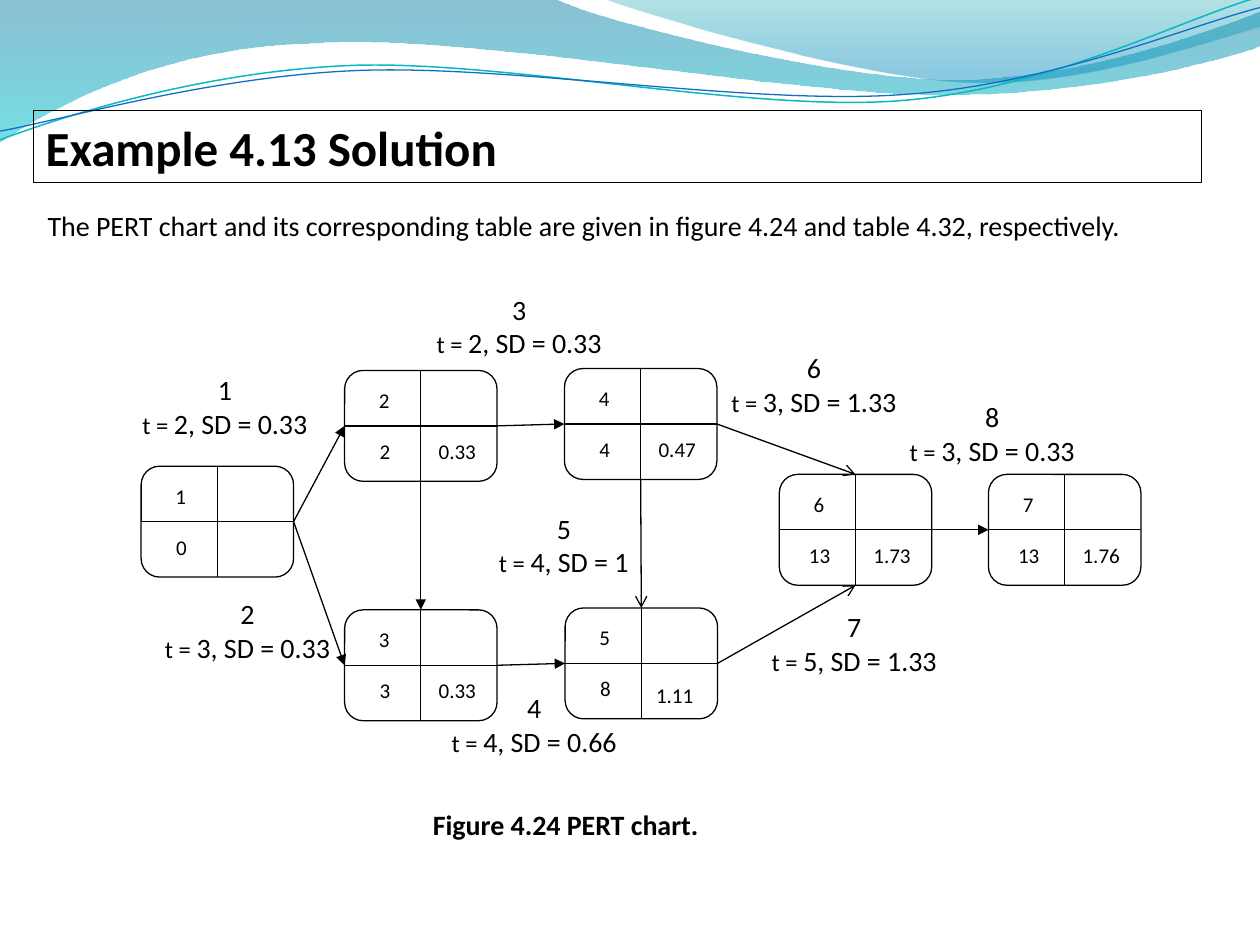
import math
import pptx
import pptx.util
import pptx.dml.color
import pptx.enum.text
import pptx.enum.shapes
import pptx.oxml.ns
from lxml import etree

RGB = pptx.dml.color.RGBColor
Anchor = pptx.enum.text.MSO_ANCHOR
Align = pptx.enum.text.PP_ALIGN
Kind = pptx.enum.shapes.MSO_SHAPE
qn = pptx.oxml.ns.qn

BLACK = RGB(0x00, 0x00, 0x00)
DEEP = RGB(0x00, 0x74, 0xA1)
CYAN = RGB(0x00, 0xC6, 0xCF)
TEAL = RGB(0x00, 0xA1, 0xA9)
SKY = RGB(0x00, 0x8B, 0xBF)
AQUA = RGB(0x0A, 0xB8, 0xBF)
BLUE = RGB(0x0F, 0x6F, 0xC6)

# Grid of 100 columns by 75 rows of square cells
WIDE, HIGH = pptx.util.Inches(10), pptx.util.Inches(7.5)
CELL = WIDE / 100
NODE = (12.1, 8.8)
TOP, LEFT, BASE, RIGHT = range(4)
TILT = -2.7

# Each curve: start point, then segments of one point (line) or three (Bézier)
BAND = [[(0, 0)], [(44, -0.1)],
        [(47.6, 1.7), (66.4, 6.3), (75.8, 6.3)],
        [(85.3, 6.3), (95.8, 2.6), (100, 0.9)], [(100.1, 3.6)],
        [(98.3, 4.4), (87, 7.6), (74.6, 7.5)],
        [(62.2, 7.5), (38.2, 2.8), (25.7, 3.4)],
        [(12.9, 3.6), (4.6, 8.3), (-0.1, 11.3)]]
CREST = [[(47.9, -0.1)], [(50.9, 1.1), (68.2, 6.2), (76.9, 6.5)],
         [(85.6, 6.9), (96.1, 3.2), (100, 2.1)], [(100, 0)]]
UPPER = [[(0, 11.1)], [(4.8, 9.3), (15.8, 5.7), (27.7, 5.2)],
         [(39.5, 4.7), (59.3, 8.9), (71.3, 8)],
         [(83.3, 7.1), (93.8, 1.5), (99.8, -0.2)]]
LOWER = [[(0, 10.4)], [(4.7, 9.6), (16.4, 6.1), (28.3, 5.6)],
         [(40.3, 5.1), (59.7, 8.4), (71.7, 7.5)],
         [(83.6, 6.7), (94.1, 2.1), (100, 0.6)]]

# Event: left, top, earliest time, deviation, drop of the deviation
EVENTS = {
    1: (11.2, 37, "0", "", 0),
    2: (27.35, 29.4, "2", "0.33", 0),
    4: (44.8, 29.25, "4", "0.47", 0),
    5: (44.85, 48.25, "8", "1.11", 0.5),
    3: (27.35, 48.4, "3", "0.33", 0),
    6: (61.85, 37.65, "13", "1.73", 0),
    7: (78.45, 37.65, "13", "1.76", 0),
}
# Link: from event and side, to event and side, arrowhead
LINKS = [
    (1, RIGHT, 2, LEFT, "triangle"), (1, RIGHT, 3, LEFT, "triangle"),
    (2, BASE, 3, TOP, "triangle"), (6, RIGHT, 7, LEFT, "triangle"),
    (3, RIGHT, 5, LEFT, "triangle"), (2, RIGHT, 4, LEFT, "triangle"),
    (4, RIGHT, 6, TOP, "arrow"), (5, RIGHT, 6, BASE, "arrow"),
    (4, BASE, 5, TOP, "arrow"),
]
# Task: left, top, estimate
TASKS = {
    1: (10.15, 29.1, "2, SD = 0.33"), 2: (11.95, 46.85, "3, SD = 0.33"),
    3: (33.5, 22.7, "2, SD = 0.33"), 4: (34.7, 54.35, "4, SD = 0.66"),
    5: (37.05, 40.1, "4, SD = 1"), 6: (56.9, 27.35, "3, SD = 1.33"),
    7: (60.1, 47.9, "5, SD = 1.33"), 8: (71.05, 31.25, "3, SD = 0.33"),
}


def emu(*cells):
    return [round(c * CELL) for c in cells]


def write(shape, rows, align=Align.LEFT, bold=False, anchor=Anchor.TOP, inset=True):
    """Fill a shape with rows of (text, size) runs."""
    frame = shape.text_frame
    frame.word_wrap = True
    frame.auto_size = pptx.enum.text.MSO_AUTO_SIZE.SHAPE_TO_FIT_TEXT
    frame.vertical_anchor = anchor
    if not inset:
        frame.margin_left = frame.margin_right = 0
        frame.margin_top = frame.margin_bottom = 0
    for i, row in enumerate(rows):
        para = frame.add_paragraph() if i else frame.paragraphs[0]
        para.alignment = align
        for words, size in row:
            run = para.add_run()
            run.text = words
            font = run.font
            font.name, font.size, font.bold = "Calibri", pptx.util.Pt(size), bold
            font.color.rgb = BLACK


def label(slide, box, rows, **style):
    write(slide.shapes.add_textbox(*emu(*box)), rows, **style)


def frame_box(slide, kind, box):
    """Outlined shape without fill."""
    shape = slide.shapes.add_shape(kind, *emu(*box))
    shape.shadow.inherit = False
    shape.fill.background()
    shape.line.color.rgb = BLACK
    shape.line.width = pptx.util.Pt(0.75)
    return shape


def link(slide, ends, head=None):
    line = slide.shapes.add_connector(
        pptx.enum.shapes.MSO_CONNECTOR.STRAIGHT, *emu(*ends))
    line.line.color.rgb = BLACK
    line.line.width = pptx.util.Pt(0.75)
    props = line._element.spPr
    if head:
        etree.SubElement(props.find(qn("a:ln")), qn("a:tailEnd"), type=head)
    etree.SubElement(props, qn("a:effectLst"))
    return line


def curve(slide, plan, close):
    """Freeform whose three-point segments become cubic Béziers."""
    spots = [emu(*spot) for part in plan for spot in part]
    pen = slide.shapes.build_freeform(*spots[0])
    pen.add_line_segments(spots[1:], close=close)
    shape = pen.convert_to_shape()
    shape.shadow.inherit = False
    steps = iter(list(shape._element.spPr.iter(qn("a:lnTo"))))
    for part in plan[1:]:
        first, *rest = [next(steps) for _ in part]
        if rest:
            first.tag = qn("a:cubicBezTo")
            for step in rest:
                first.append(step[0])
                step.getparent().remove(step)
    return shape


def wave(slide, plan, stops):
    """Translucent area; stops are (position, colour, opacity percent)."""
    shape = curve(slide, plan, True)
    shape.line.fill.background()
    shape.fill.gradient()
    shape.fill.gradient_angle = 270
    for stop, (place, tint, _) in zip(shape.fill.gradient_stops, stops):
        stop.position, stop.color.rgb = place, tint
    tints = shape._element.spPr.iter(qn("a:srgbClr"))
    for node, (_, _, alpha) in zip(list(tints), stops):
        etree.SubElement(node, qn("a:alpha"), val=str(alpha * 1000))


def turn(spot, mid, angle):
    c, s = math.cos(math.radians(angle)), math.sin(math.radians(angle))
    x, y = spot[0] - mid[0], spot[1] - mid[1]
    return mid[0] + x * c - y * s, mid[1] + x * s + y * c


def strand(slide, plan, mid, tint, width):
    """Thin line drawn level, then tilted about its middle."""
    level = [[turn(spot, mid, -TILT) for spot in part] for part in plan]
    shape = curve(slide, level, False)
    shape.rotation = TILT
    shape.fill.background()
    shape.line.color.rgb = tint
    shape.line.width = pptx.util.Pt(width)


def banner(slide):
    wave(slide, BAND, [(0, DEEP, 45), (1, CYAN, 55)])
    wave(slide, CREST, [(0, TEAL, 30), (0.8, SKY, 45)])
    strand(slide, UPPER, (49.9, 5.75), AQUA, 0.85)
    strand(slide, LOWER, (49.95, 5.9), BLUE, 0.75)


def event(slide, box, name, time, dev, drop):
    """Rounded box in four quarters: number, time and deviation."""
    x, y, w, h = box
    shape = frame_box(slide, Kind.ROUNDED_RECTANGLE, box)
    link(slide, (x + w / 2, y, x + w / 2, y + h))
    link(slide, (x, y + h / 2, x + w, y + h / 2))
    for left, top, words in ((0.3, 1.35, name), (0.35, 5.4, time),
                             (6.1 - drop / 2, 5.4 + drop, dev)):
        if words:
            label(slide, (x + left, y + top, 5.7, 2), [[(words, 12)]],
                  align=Align.CENTER, inset=False)
    return shape


def chart(slide):
    nodes = {n: event(slide, (x, y, *NODE), str(n), *rest)
             for n, (x, y, *rest) in EVENTS.items()}
    for start, out, end, into, head in LINKS:
        line = link(slide, (0, 0, 0, 0), head)
        line.begin_connect(nodes[start], out)
        line.end_connect(nodes[end], into)
    for n, (x, y, words) in TASKS.items():
        label(slide, (x, y, 15.4, 6.4),
              [[(str(n), 16)], [("t = ", 14), (words, 16)]], align=Align.CENTER)


def main():
    deck = pptx.Presentation()
    deck.slide_width, deck.slide_height = WIDE, HIGH
    slide = deck.slides.add_slide(deck.slide_layouts[6])
    banner(slide)
    # Title and lead sentence
    title = frame_box(slide, Kind.RECTANGLE, (2.65, 8.8, 92.7, 5.7))
    write(title, [[("Example 4.13 Solution", 28)]], bold=True)
    label(slide, (2.8, 16, 92.7, 3.7),
          [[("The PERT chart and its corresponding table are given in "
             "figure 4.24 and table 4.32, respectively.", 16)]], anchor=Anchor.MIDDLE)
    # Diagram and caption
    chart(slide)
    label(slide, (20.4, 63.6, 49, 3.7), [[("Figure 4.24 PERT chart.", 16)]],
          align=Align.CENTER, bold=True)
    deck.save("out.pptx")


if __name__ == "__main__":
    main()
